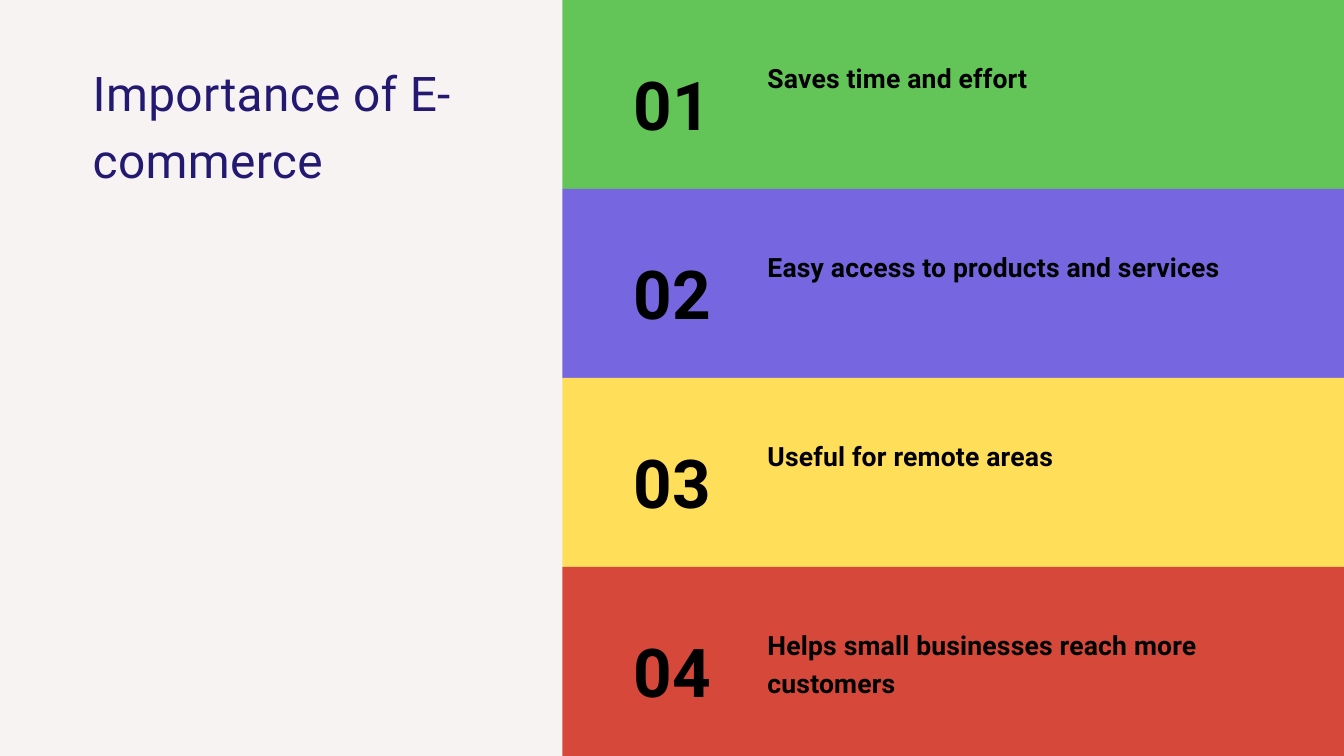
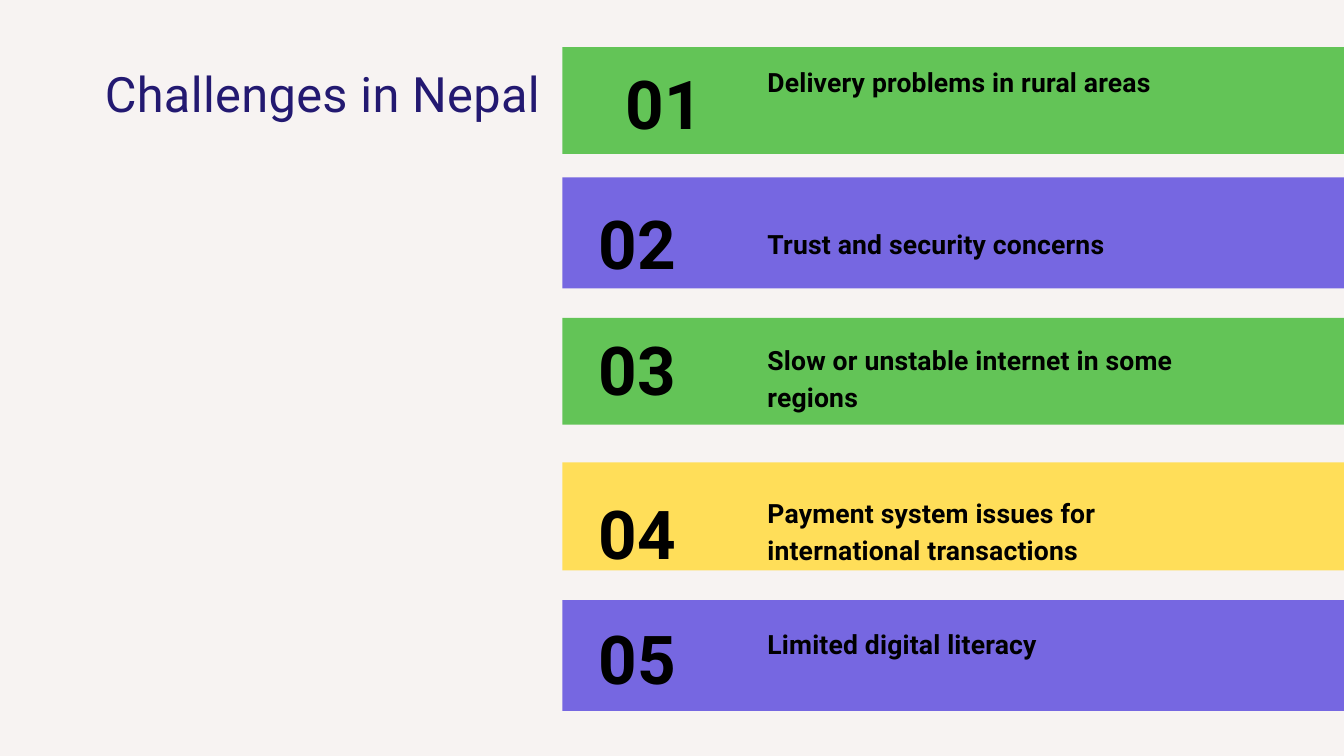
from pptx import Presentation
from pptx.dml.color import RGBColor
from pptx.enum.shapes import MSO_SHAPE as Shape
from pptx.enum.text import MSO_AUTO_SIZE as Fit, PP_ALIGN as Align
from pptx.util import Inches, Pt

WIDE, HIGH = 20, 11.25
EDGE = 8.37
PAPER, NAVY, INK = "F7F3F2", "231971", "000000"
GREEN, VIOLET, GOLD, RED = "63C457", "7667E1", "FFDE59", "D6483A"


def color(code):
    return RGBColor.from_string(code)


class Deck:
    """Holds the shared style and the slide being built."""

    font = "Roboto"

    def __init__(self):
        self.prs = Presentation()
        self.prs.slide_width = Inches(WIDE)
        self.prs.slide_height = Inches(HIGH)
        self.slide = None

    def page(self):
        self.slide = self.prs.slides.add_slide(self.prs.slide_layouts[6])
        fill = self.slide.background.fill
        fill.solid()
        fill.fore_color.rgb = color(PAPER)

    def band(self, top, high, shade):
        """Draw a bar from the shared edge to the right side."""
        bar = self.slide.shapes.add_shape(
            Shape.RECTANGLE, Inches(EDGE), Inches(top),
            Inches(WIDE - EDGE), Inches(high))
        bar.shadow.inherit = False
        bar.fill.solid()
        bar.fill.fore_color.rgb = color(shade)
        bar.line.fill.background()

    def text(self, words, box, size, lead, gap, ink=INK, bold=False,
             align=Align.LEFT, indent=0):
        """Add one line of text; lead is line pitch, gap letter spacing (pt)."""
        frame = self.slide.shapes.add_textbox(*map(Inches, box)).text_frame
        frame.margin_left = frame.margin_right = 0
        frame.margin_top = frame.margin_bottom = 0
        frame.word_wrap = True
        frame.auto_size = Fit.SHAPE_TO_FIT_TEXT
        para = frame.paragraphs[0]
        para.alignment = align
        para.line_spacing = Pt(lead)
        if indent:
            para._p.get_or_add_pPr().set("marL", str(Inches(indent)))
        run = para.add_run()
        run.text = words
        font = run.font
        font.name, font.size, font.bold = self.font, Pt(size), bold
        font.color.rgb = color(ink)
        run._r.get_or_add_rPr().set("spc", str(round(gap * 100)))

    def title(self, words, size, lead, high, indent=0):
        self.text(words, (1.38, 0.81, 6.98, high), size, lead, 0.4,
                  ink=NAVY, indent=indent)

    def number(self, rank, left, top):
        self.text(f"{rank:02}", (left, top, 1.88, 1.37), 72.2, 101.1, 0.6,
                  bold=True, align=Align.CENTER)

    def label(self, words, top, high):
        self.text(words, (11.42, top, 6.91, high), 28.4, 39.8, 0.2, bold=True)


def benefits(deck):
    deck.page()
    rows = [
        ("Saves time and effort", GREEN, 0.54),
        ("Easy access to products and services", VIOLET, 1.09),
        ("Useful for remote areas", GOLD, 0.54),
        ("Helps small businesses reach more customers", RED, 1.09),
    ]
    step = HIGH / len(rows)
    for i, (words, shade, high) in enumerate(rows):
        top = i * step
        deck.band(top, step, shade)
        deck.label(words, top + 0.85, high)
        deck.number(i + 1, 9.07, top + 0.74)
    deck.title("Importance of E-commerce", 51.2, 71.7, 1.95)


def hurdles(deck):
    deck.page()
    # Each row: words, shade, band (top, high), number (left, top),
    # label (top, high)
    rows = [
        ("Delivery problems in rural areas", GREEN,
         (0.7, 1.59), (8.95, 0.73), (0.91, 1.09)),
        ("Trust and security concerns", VIOLET,
         (2.64, 1.65), (8.54, 2.81), (3.31, 1.09)),
        ("Slow or unstable internet in some regions", GREEN,
         (4.73, 1.59), (8.54, 4.68), (5.04, 1.65)),
        ("Payment system issues for international transactions", GOLD,
         (6.88, 1.61), (8.54, 7.12), (7.32, 1.09)),
        ("Limited digital literacy", VIOLET,
         (8.93, 1.65), (8.54, 8.98), (9.27, 1.65)),
    ]
    for rank, (words, shade, bar, spot, note) in enumerate(rows, 1):
        deck.band(*bar, shade)
        deck.label(words, *note)
        deck.number(rank, *spot)
    deck.title("Challenges in Nepal", 52.2, 73.1, 1.99, indent=0.18)


def main():
    deck = Deck()
    benefits(deck)
    hurdles(deck)
    deck.prs.save("out.pptx")


if __name__ == "__main__":
    main()
